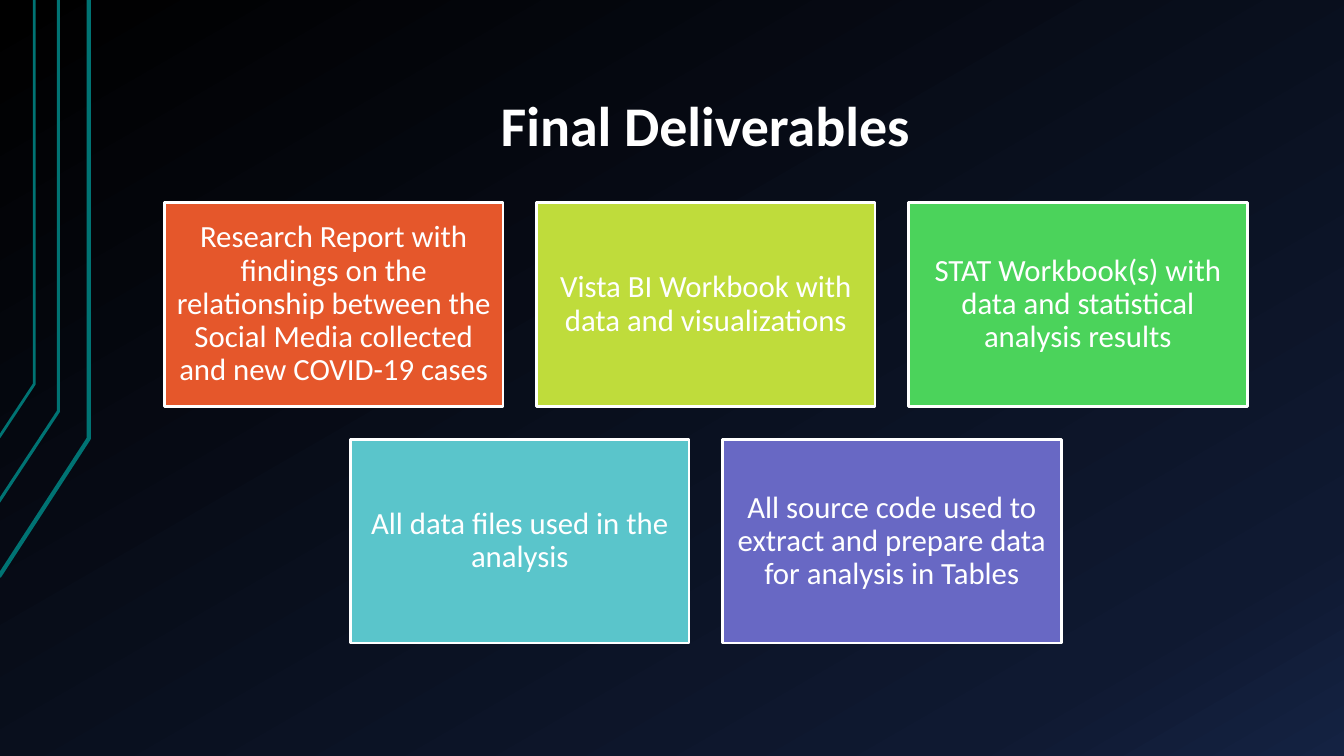
import copy

import pptx
import pptx.dml.color
import pptx.enum.shapes
import pptx.enum.text
import pptx.util
from pptx.util import Inches

TITLE = "Final Deliverables"
ROWS = [
    [
        ("Research Report with findings on the relationship between the "
         "Social Media collected and new COVID-19 cases", "E5572B"),
        ("Vista BI Workbook with data and visualizations", "BFDC3B"),
        ("STAT Workbook(s) with data and statistical analysis results", "4BD35B"),
    ],
    [
        ("All data files used in the analysis", "5AC5CB"),
        ("All source code used to extract and prepare data for analysis in Tables",
         "6868C4"),
    ],
]
BACKGROUND_STOPS = [(0, "000000"), (0.85, "0F1931"), (1, "142242")]
BACKGROUND_ANGLE = 60
# Corner points in inches, then line width in points
EDGE_LINES = [
    ([(-0.01, 5.72), (0.88, 4.35), (0.88, 0)], 3),
    ([(-0.02, 4.99), (0.58, 4.08), (0.58, 0)], 2.25),
    ([(-0.01, 4.34), (0.34, 3.81), (0.34, 0)], 2),
]
EDGE_COLOR = "007373"
WHITE = "FFFFFF"
FONT = "Calibri"

SLIDE_WIDTH, SLIDE_HEIGHT = 13.33, 7.5
CARD_WIDTH, CARD_HEIGHT = 3.36, 2.02
CARD_GAP = 0.33
CARDS_CENTER, CARDS_TOP = 7, 2.01


def color(code):
    return pptx.dml.color.RGBColor.from_string(code)


def write(shape, text, size, bold=False, anchor="MIDDLE", inset=(0.09, 0.09)):
    """Put one centred white paragraph in the shape."""
    frame = shape.text_frame
    frame.word_wrap = True
    frame.vertical_anchor = getattr(pptx.enum.text.MSO_ANCHOR, anchor)
    frame.margin_left = frame.margin_right = Inches(inset[0])
    frame.margin_top = frame.margin_bottom = Inches(inset[1])
    para = frame.paragraphs[0]
    para.alignment = pptx.enum.text.PP_ALIGN.CENTER
    para.line_spacing = 0.9
    span = para.add_run()
    span.text = text
    span.font.name = FONT
    span.font.size = pptx.util.Pt(size)
    span.font.bold = bold
    span.font.color.rgb = color(WHITE)


def outline(shape, code, width):
    shape.shadow.inherit = False
    shape.line.color.rgb = color(code)
    shape.line.width = pptx.util.Pt(width)


def paint_background(page):
    fill = page.background.fill
    fill.gradient()
    fill.gradient_angle = 360 - BACKGROUND_ANGLE  # counted counter-clockwise
    stop_list = page.element.xpath(".//a:gsLst")[0]
    stop_list.append(copy.deepcopy(stop_list[-1]))
    for stop, (position, code) in zip(fill.gradient_stops, BACKGROUND_STOPS):
        stop.position = position
        stop.color.rgb = color(code)


def add_edge_line(page, points, width):
    start, *others = [(Inches(x), Inches(y)) for x, y in points]
    builder = page.shapes.build_freeform(*start)
    builder.add_line_segments(others, close=False)
    edge = builder.convert_to_shape()
    edge.fill.background()
    outline(edge, EDGE_COLOR, width)


def add_card(page, left, top, text, code):
    card = page.shapes.add_shape(
        pptx.enum.shapes.MSO_SHAPE.RECTANGLE,
        Inches(left), Inches(top), Inches(CARD_WIDTH), Inches(CARD_HEIGHT))
    card.fill.solid()
    card.fill.fore_color.rgb = color(code)
    outline(card, WHITE, 2)
    write(card, text, 22)


def main():
    deck = pptx.Presentation()
    deck.slide_width = Inches(SLIDE_WIDTH)
    deck.slide_height = Inches(SLIDE_HEIGHT)
    page = deck.slides.add_slide(deck.slide_layouts[6])
    paint_background(page)
    for points, width in EDGE_LINES:
        add_edge_line(page, points, width)

    title = page.shapes.add_textbox(
        Inches(1.33), Inches(0.3), Inches(11.33), Inches(1.34))
    write(title, TITLE, 40, bold=True, anchor="BOTTOM", inset=(0.13, 0.07))

    for row, cards in enumerate(ROWS):
        row_width = len(cards) * (CARD_WIDTH + CARD_GAP) - CARD_GAP
        row_left = CARDS_CENTER - row_width / 2
        top = CARDS_TOP + row * (CARD_HEIGHT + CARD_GAP)
        for column, (text, code) in enumerate(cards):
            left = row_left + column * (CARD_WIDTH + CARD_GAP)
            add_card(page, left, top, text, code)

    deck.save("out.pptx")


if __name__ == "__main__":
    main()
